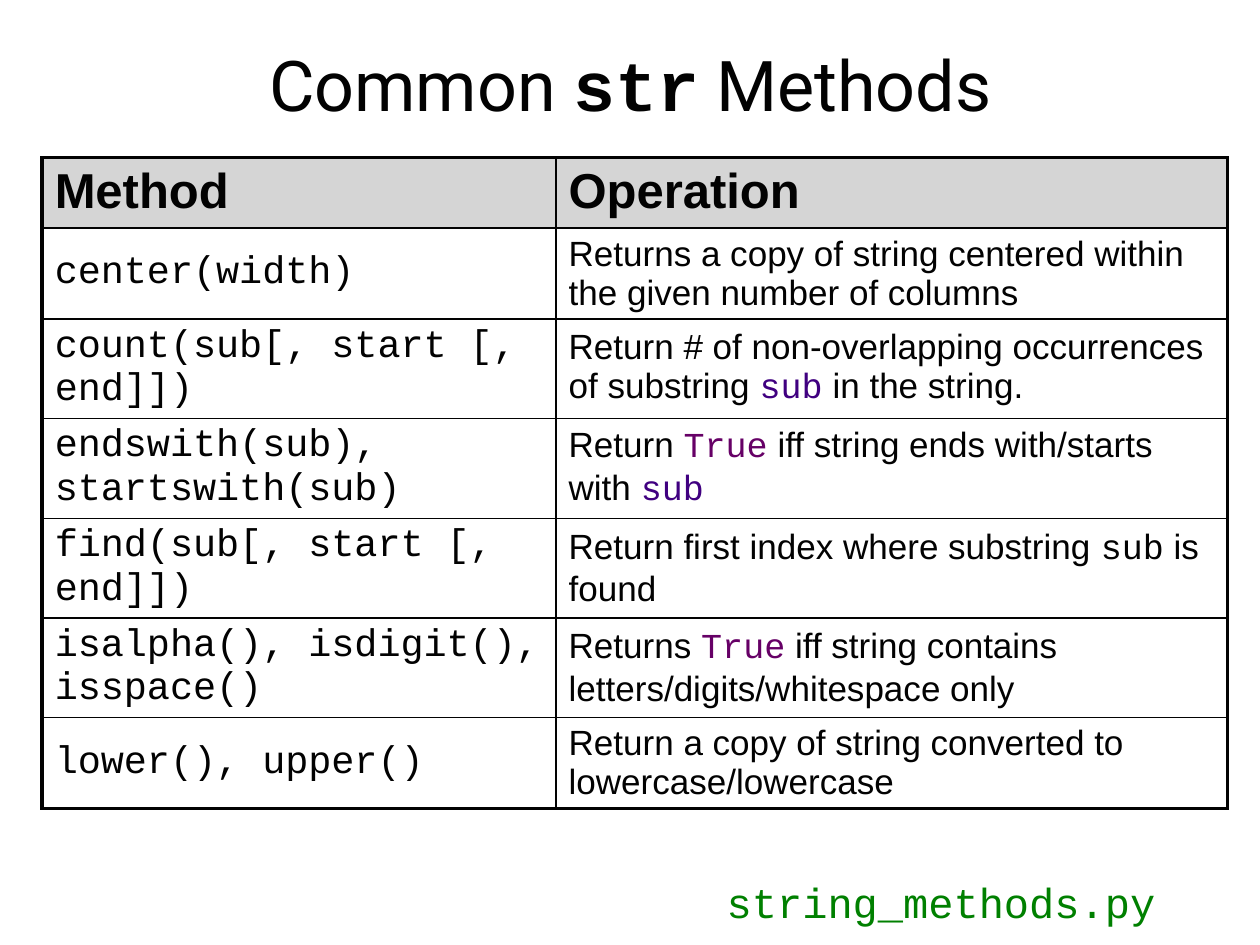
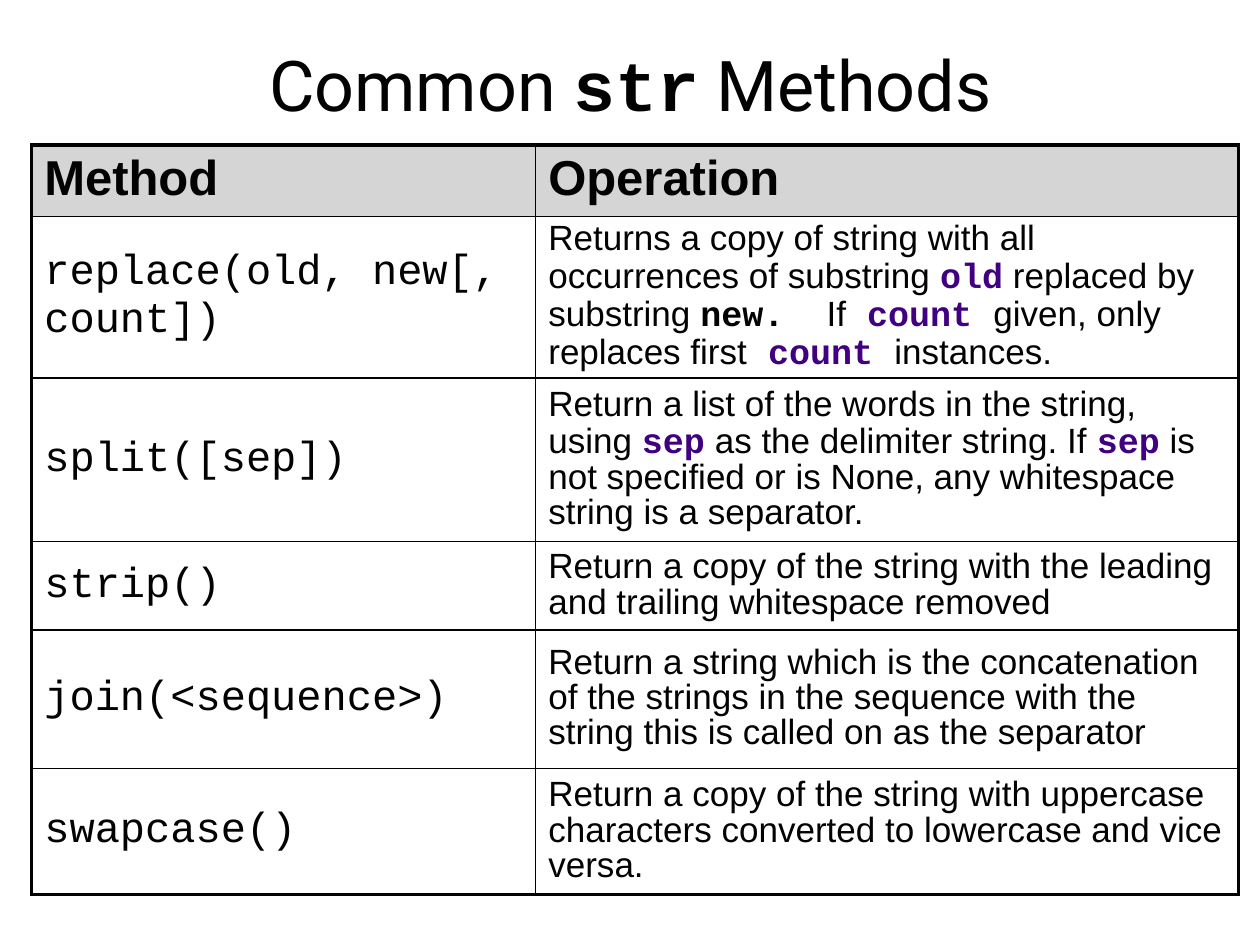
from lxml.etree import SubElement as Sub
from pptx import Presentation
from pptx.dml.color import RGBColor
from pptx.enum.text import MSO_ANCHOR as Anchor, MSO_AUTO_SIZE as AutoSize, PP_ALIGN as Align
from pptx.oxml.ns import qn
from pptx.util import Cm, Pt

INK = RGBColor(0x02, 0x02, 0x02)
WHITE = RGBColor(0xFF, 0xFF, 0xFF)
HEADER_GREY = RGBColor(0xD5, 0xD5, 0xD5)
ARGUMENT = RGBColor(0x40, 0x00, 0x80)
LITERAL = RGBColor(0x66, 0x00, 0x66)
FILE_GREEN = RGBColor(0x00, 0x80, 0x00)

SANS, MONO, DISPLAY = "Arial", "Courier New", "Roboto"
THICK, THIN = Pt(2.25), Pt(1)


def code(text, color=INK, bold=False):
    return text, {"name": MONO, "bold": bold}, color


def argument(text, bold=False):
    return code(text, ARGUMENT, bold)


class MethodDeck:
    def __init__(self):
        self.deck = Presentation()
        self.deck.slide_width, self.deck.slide_height = Cm(25.4), Cm(19.05)
        self.page = None

    def add_spans(self, para, pieces, size, font=SANS, bold=False):
        for piece in pieces:
            text, style, color = (piece, {}, INK) if isinstance(piece, str) else piece
            span = para.add_run()
            span.text = text
            span.font.color.rgb = color
            values = {"name": font, "size": Pt(size), "bold": bold} | style
            for name, value in values.items():
                setattr(span.font, name, value)

    def new_page(self, pieces):
        self.page = self.deck.slides.add_slide(self.deck.slide_layouts[5])
        title = self.page.shapes.title
        place = {"left": Cm(0.64), "top": Cm(0.2), "width": Cm(24.13), "height": Cm(2.97)}
        for name, value in place.items():
            setattr(title, name, value)
        frame = title.text_frame
        frame.auto_size = AutoSize.NONE
        frame.vertical_anchor = Anchor.MIDDLE
        para = frame.paragraphs[0]
        para.alignment = Align.CENTER
        self.add_spans(para, pieces, 40, DISPLAY)

    def border(self, cell, widths):
        properties = cell._tc.get_or_add_tcPr()
        for side, width in widths.items():
            line = Sub(properties, qn("a:ln" + side), w=str(width))
            fill = Sub(line, qn("a:solidFill"))
            Sub(fill, qn("a:srgbClr"), val=str(INK))

    def fill_cell(self, cell, pieces, anchor, spacing, **style):
        cell.vertical_anchor = anchor
        para = cell.text_frame.paragraphs[0]
        para.line_spacing = spacing
        self.add_spans(para, pieces, **style)

    def table(self, left, top, widths, heights, methods, code_size, spacing=1.0, last_anchor=Anchor.MIDDLE):
        frame = self.page.shapes.add_table(len(heights), len(widths), Cm(left), Cm(top),
                                           Cm(sum(widths)), Cm(sum(heights)))
        grid = frame.table
        grid.first_row = grid.horz_banding = False
        for column, width in zip(grid.columns, widths):
            column.width = Cm(width)
        for row, height in zip(grid.rows, heights):
            row.height = Cm(height)
        last = len(methods)
        rows = [("Method", ["Operation"])] + methods
        for index, (method, operation) in enumerate(rows):
            name_cell, text_cell = grid.cell(index, 0), grid.cell(index, 1)
            for cell in (name_cell, text_cell):
                self.border(cell, {
                    "L": THICK if cell is name_cell else THIN,
                    "R": THICK if cell is text_cell else THIN,
                    "T": THICK if index == 0 else THIN,
                    "B": THICK if index == last else THIN,
                })
                if index == 0:
                    cell.fill.solid()
                    cell.fill.fore_color.rgb = HEADER_GREY
                else:
                    cell.fill.background()
            if index == 0:
                self.fill_cell(name_cell, [method], Anchor.TOP, 1.0, size=28, bold=True)
                self.fill_cell(text_cell, operation, Anchor.TOP, 1.0, size=28, bold=True)
            else:
                anchor = last_anchor if index == last else Anchor.MIDDLE
                self.fill_cell(name_cell, [method], Anchor.MIDDLE, 1.0, size=code_size, font=MONO)
                self.fill_cell(text_cell, operation, anchor, spacing, size=20)

    def file_name(self, text):
        box = self.page.shapes.add_textbox(Cm(14.4), Cm(17.55), Cm(9.25), Cm(1.27))
        box.fill.solid()
        box.fill.fore_color.rgb = WHITE
        box.text_frame.word_wrap = False
        self.add_spans(box.text_frame.paragraphs[0], [code(text, FILE_GREEN)], 24)


TITLE = ["Common ", code("str", bold=True), " Methods"]

SEARCH_METHODS = [
    ("center(width)", ["Returns a copy of string centered within the given number of columns"]),
    ("count(sub[, start [, end]])",
     ["Return # of non-overlapping occurrences of substring ", argument("sub"), " in the string."]),
    ("endswith(sub), startswith(sub)",
     ["Return ", code("True", LITERAL), " iff string ends with/starts with ", argument("sub")]),
    ("find(sub[, start [, end]])",
     ["Return first index where substring ", code("sub"), " is found"]),
    ("isalpha(), isdigit(), isspace()",
     ["Returns ", code("True", LITERAL), " iff string contains letters/digits/whitespace only"]),
    ("lower(), upper()", ["Return a copy of string converted to lowercase/lowercase"]),
]

CHANGE_METHODS = [
    ("replace(old, new[, count])",
     ["Returns a copy of string with all occurrences of substring ", argument("old", True),
      " replaced by substring ", code("new.  ", bold=True), "If", argument(" count ", True),
      "given, only replaces first", argument(" count ", True), "instances."]),
    ("split([sep])",
     ["Return a list of the words in the string, using ", argument("sep", True),
      " as the delimiter string. If ", argument("sep", True),
      " is not specified or is None, any whitespace string is a separator."]),
    ("strip()",
     ["Return a copy of the string with the leading and trailing whitespace removed"]),
    ("join(<sequence>)",
     ["Return a string which is the concatenation of the strings in the sequence "
      "with the string this is called on as the separator"]),
    ("swapcase()",
     ["Return a copy of the string with uppercase characters converted to lowercase "
      "and vice versa."]),
]

methods_deck = MethodDeck()

methods_deck.new_page(TITLE)
methods_deck.table(0.85, 3.18, [10.36, 13.54], [1.42, 1.83] + [2.01] * 4 + [1.8],
                   SEARCH_METHODS, 22, last_anchor=Anchor.TOP)
methods_deck.file_name("string_methods.py")

methods_deck.new_page(TITLE)
methods_deck.table(0.64, 2.92, [10.16, 14.17], [1.44, 3.23, 3.3, 1.78, 2.79, 2.54],
                   CHANGE_METHODS, 24, spacing=0.9)

methods_deck.deck.save("out.pptx")
